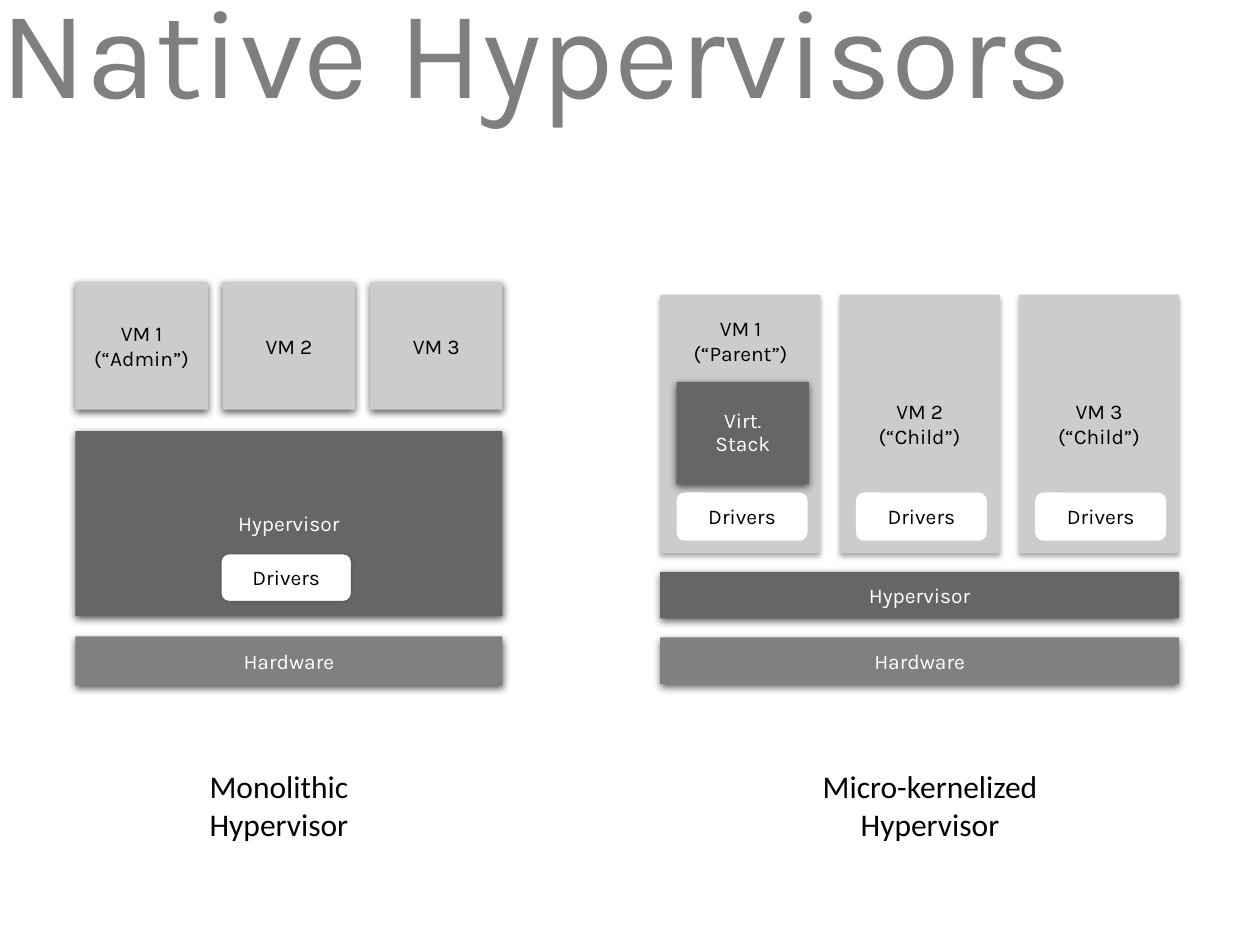
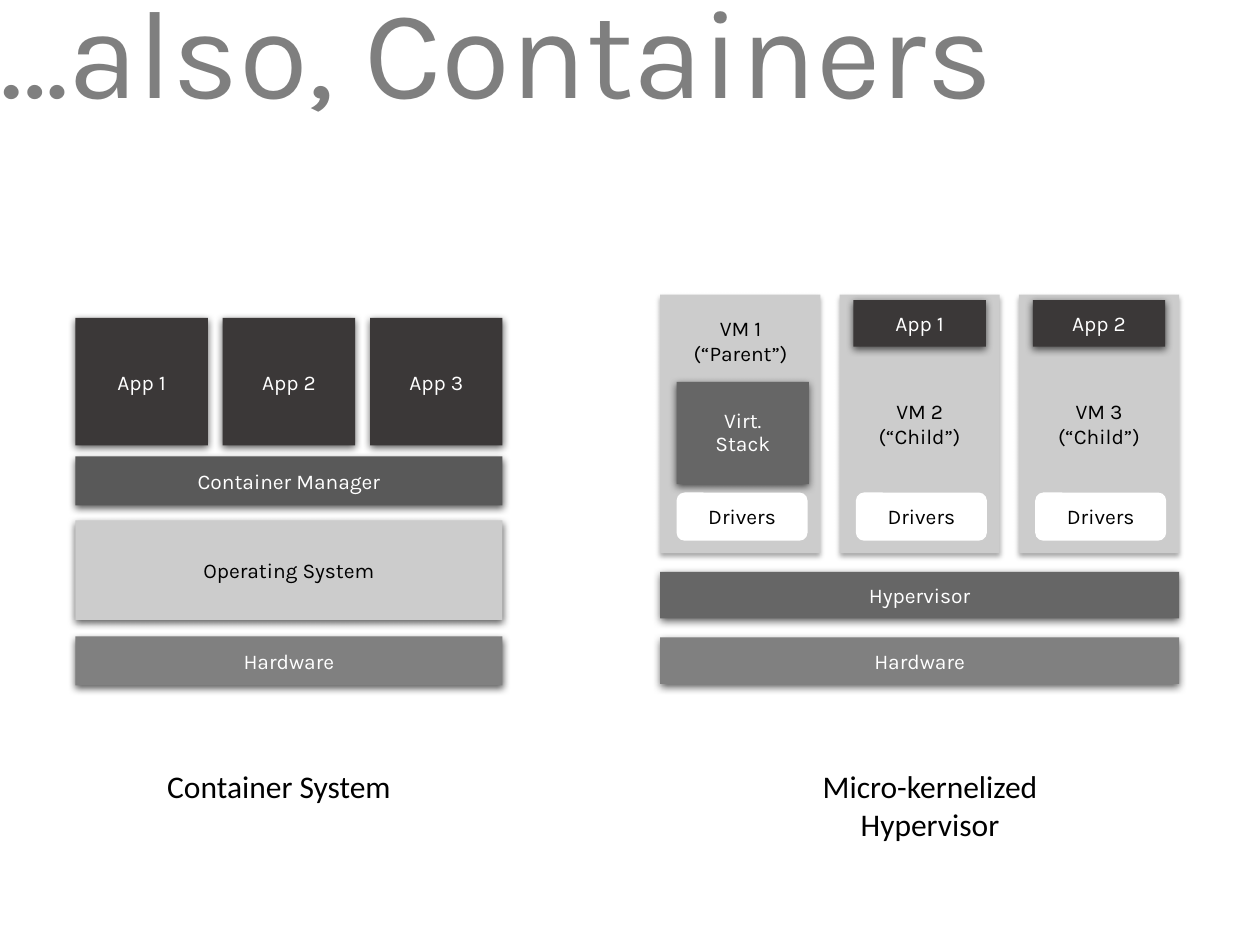
from lxml import etree
from pptx import Presentation
from pptx.dml.color import RGBColor
from pptx.enum import shapes, text
from pptx.oxml.ns import qn
from pptx.util import Cm, Pt

BLACK, WHITE, TITLE = "000000", "FFFFFF", "7F7F7F"
PALE, MID, DARK, COAL, SLATE = "CCCCCC", "808080", "666666", "3B3838", "595959"
RECT = shapes.MSO_SHAPE.RECTANGLE
ROUND = shapes.MSO_SHAPE.ROUNDED_RECTANGLE

# Shadow: opacity %, blur pt, distance pt
HARD, SOFT = (63, 4.5, 1.5), (35, 3.1, 1.8)

# Lengths in cm; layers are (label, top, height, fill, ink)
LEFT_X, LEFT_W = 1.52, 8.61
RIGHT_X, RIGHT_W = 13.31, 10.46
TILE_W, TILE_H = 2.67, 2.57
VM_W, VM_Y, VM_H = 3.23, 5.94, 5.21
INSET = 0.33
DRIVER_W, DRIVER_H = 2.64, 0.97
BASE = ("Hardware", 12.83, 0.99, MID, WHITE)

SLIDES = [
    dict(
        title="Native Hypervisors",
        caption="Monolithic Hypervisor",
        tiles=["VM 1\n(“Admin”)", "VM 2", "VM 3"],
        tile_y=5.69, fill=PALE, ink=BLACK,
        layers=[("Hypervisor", 8.69, 3.73, DARK, WHITE), BASE],
        driver=(4.45, 11.16),
        apps=[],
    ),
    dict(
        title="…also, Containers",
        caption="Container System",
        tiles=["App 1", "App 2", "App 3"],
        tile_y=6.41, fill=COAL, ink=WHITE,
        layers=[("Container Manager", 9.2, 0.99, SLATE, WHITE),
                ("Operating System", 10.49, 2.01, PALE, BLACK), BASE],
        driver=None,
        apps=["App 1", "App 2"],
    ),
]
RIGHT_LAYERS = [("Hypervisor", 11.53, 0.94, DARK, WHITE),
                ("Hardware", 12.85, 0.94, MID, WHITE)]
VMS = ["", "VM 2\n(“Child”)", "VM 3\n(“Child”)"]


def color(code):
    return RGBColor.from_string(code)


def write(frame, words, size, font, ink, align=text.PP_ALIGN.CENTER, space=None):
    frame.word_wrap = True
    frame.text = words
    for par in frame.paragraphs:
        par.alignment = align
        par.line_spacing = space
        par.font.size = Pt(size)
        par.font.name = font
        par.font.color.rgb = color(ink)


def shade(shape, alpha, blur, dist):
    """Give the shape a black shadow that falls straight down."""
    effects = shape._element.spPr.find(qn("a:effectLst"))
    outer = etree.SubElement(effects, qn("a:outerShdw"), blurRad=str(Pt(blur)),
                             dist=str(Pt(dist)), dir="5400000", rotWithShape="0")
    tone = etree.SubElement(outer, qn("a:srgbClr"), val=BLACK)
    etree.SubElement(tone, qn("a:alpha"), val=str(alpha * 1000))


def box(slide, words, x, y, w, h, fill, ink, shadow=HARD, kind=RECT, space=None):
    shape = slide.shapes.add_shape(kind, Cm(x), Cm(y), Cm(w), Cm(h))
    shape.fill.solid()
    shape.fill.fore_color.rgb = color(fill)
    shape.line.fill.background()
    shape.shadow.inherit = False
    if shadow:
        shade(shape, *shadow)
    shape.text_frame.vertical_anchor = text.MSO_ANCHOR.MIDDLE
    if words:
        write(shape.text_frame, words, 12, "Karla", ink, space=space)
    return shape


def driver(slide, x, y):
    return box(slide, "Drivers", x, y, DRIVER_W, DRIVER_H, WHITE, BLACK, None, ROUND)


def stack(slide, layers, x, w):
    for words, y, h, fill, ink in layers:
        box(slide, words, x, y, w, h, fill, ink)


def spread(x, width, part, count=3):
    """Left edges of equal parts that fill the width."""
    step = (width - part) / (count - 1)
    return [x + i * step for i in range(count)]


def caption(slide, words, x, w):
    label = slide.shapes.add_textbox(Cm(x), Cm(15.34), Cm(w), Cm(1.8))
    write(label.text_frame, words, 18, "Calibri", BLACK)


def head(slide, words):
    title = slide.shapes.title
    title.left, title.top, title.width, title.height = Cm(0), Cm(0), Cm(25.4), Cm(2.44)
    frame = title.text_frame
    frame.auto_size = text.MSO_AUTO_SIZE.NONE
    frame.vertical_anchor = text.MSO_ANCHOR.MIDDLE
    frame.margin_left = frame.margin_right = frame.margin_top = 0
    frame.margin_bottom = Cm(0.13)
    write(frame, words, 72, "Karla", TITLE, text.PP_ALIGN.LEFT, 0.9)


def left(slide, data):
    for words, x in zip(data["tiles"], spread(LEFT_X, LEFT_W, TILE_W)):
        box(slide, words, x, data["tile_y"], TILE_W, TILE_H, data["fill"], data["ink"])
    stack(slide, data["layers"], LEFT_X, LEFT_W)
    if data["driver"]:
        chip = driver(slide, *data["driver"])
        chip.line.color.rgb = color("5E5E5E")
        chip.line.width = Pt(1)
    caption(slide, data["caption"], 3.02, 5.21)


def right(slide, apps):
    stack(slide, RIGHT_LAYERS, RIGHT_X, RIGHT_W)
    edges = spread(RIGHT_X, RIGHT_W, VM_W)
    for words, x in zip(VMS, edges):
        box(slide, words, x, VM_Y, VM_W, VM_H, PALE, BLACK, SOFT)
    box(slide, "Virt.\nStack", RIGHT_X + INSET, 7.7, TILE_W, 2.06, DARK, WHITE, space=0.9)
    box(slide, "VM 1\n(“Parent”)", RIGHT_X + 0.2, 6.2, 2.84, 1.32, PALE, BLACK, None)
    for x in edges:
        driver(slide, x + INSET, 9.93)
    for words, x in zip(apps, edges[1:]):
        box(slide, words, x + 0.28, 6.05, TILE_W, 0.94, COAL, WHITE)
    caption(slide, "Micro-kernelized Hypervisor", 14.94, 7.62)


def main():
    deck = Presentation()
    deck.slide_width, deck.slide_height = Cm(25.4), Cm(19.05)
    for data in SLIDES:
        slide = deck.slides.add_slide(deck.slide_layouts[5])
        head(slide, data["title"])
        left(slide, data)
        right(slide, data["apps"])
    deck.save("out.pptx")


if __name__ == "__main__":
    main()
